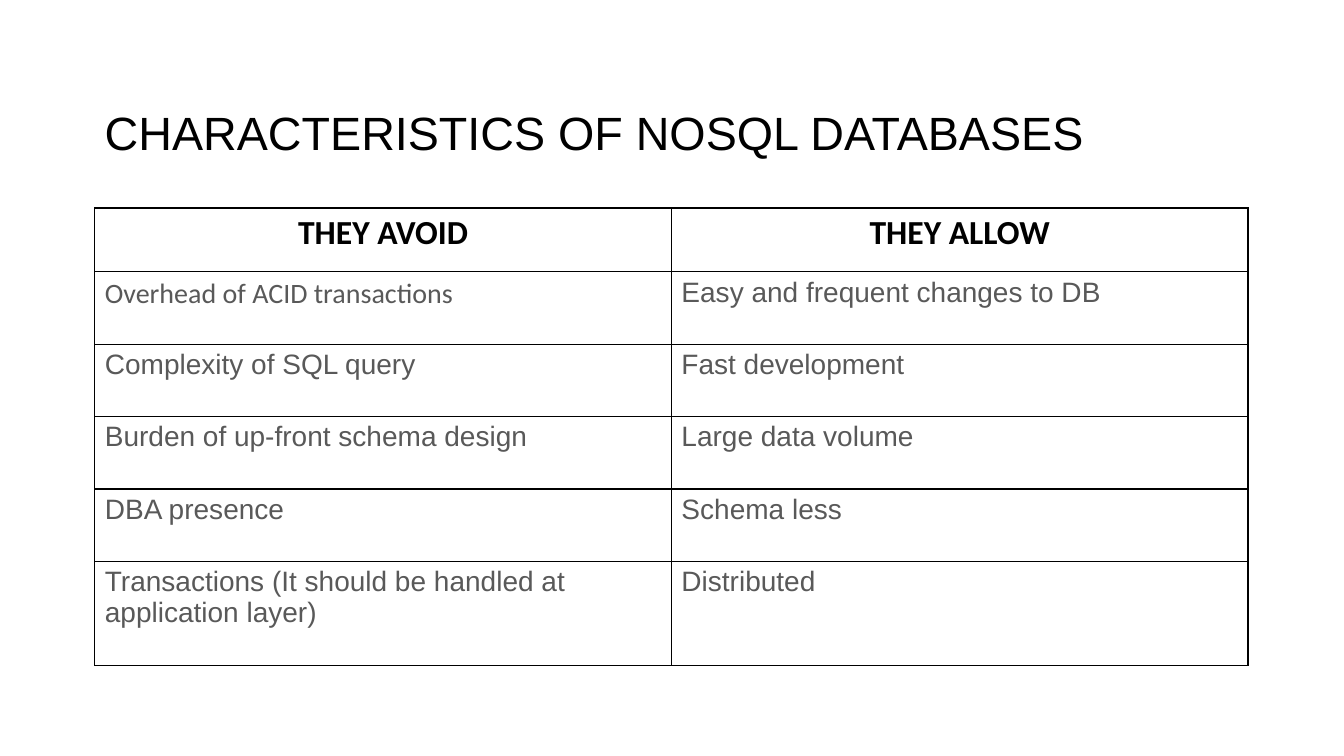
from lxml import etree
from pptx import Presentation
from pptx.dml.color import RGBColor
from pptx.enum.text import MSO_ANCHOR, PP_ALIGN
from pptx.oxml.ns import qn
from pptx.util import Pt

BLACK = RGBColor(0x00, 0x00, 0x00)
GREY = RGBColor(0x59, 0x59, 0x59)
WHITE = RGBColor(0xFF, 0xFF, 0xFF)
LEFT = PP_ALIGN.LEFT
CENTER = PP_ALIGN.CENTER
MIDDLE = MSO_ANCHOR.MIDDLE

SLIDE_WIDTH, SLIDE_HEIGHT = Pt(960), Pt(540)
MARGIN_LEFT = Pt(67.7)
COLUMN_WIDTH = Pt(411.9)
HEADER_HEIGHT, ROW_HEIGHT, LAST_ROW_HEIGHT = Pt(45.7), Pt(51.7), Pt(74.2)

HEADINGS = ("THEY AVOID", "THEY ALLOW")
CHARACTERISTICS = [
    ("Overhead of ACID transactions", "Easy and frequent changes to DB"),
    ("Complexity of SQL query", "Fast development"),
    ("Burden of up-front schema design", "Large data volume"),
    ("DBA presence", "Schema less"),
    ("Transactions (It should be handled at application layer)", "Distributed"),
]


def write_text(frame, text, size, color, font="Arial", bold=False,
               align=LEFT, line_spacing=1.0):
    frame.word_wrap = True
    paragraph = frame.paragraphs[0]
    paragraph.alignment = align
    paragraph.line_spacing = line_spacing
    run = paragraph.add_run()
    run.text = text
    run.font.name = font
    run.font.size = Pt(size)
    run.font.bold = bold
    run.font.color.rgb = color


def add_borders(cell):
    properties = cell._tc.get_or_add_tcPr()
    # Border lines come before the fill in the cell properties
    for position, side in enumerate(("a:lnL", "a:lnR", "a:lnT", "a:lnB")):
        line = etree.Element(qn(side), w=str(Pt(1)))
        fill = etree.SubElement(line, qn("a:solidFill"))
        etree.SubElement(fill, qn("a:srgbClr"), val=str(BLACK))
        properties.insert(position, line)


def fill_cell(cell, text, **text_format):
    cell.fill.solid()
    cell.fill.fore_color.rgb = WHITE
    add_borders(cell)
    write_text(cell.text_frame, text, **text_format)


def add_title(slide, text):
    title = slide.shapes.add_textbox(MARGIN_LEFT, Pt(73.4), Pt(792), Pt(46.1))
    title.text_frame.vertical_anchor = MIDDLE
    write_text(title.text_frame, text, size=33.3, color=BLACK, line_spacing=0.9)


def add_comparison(slide):
    heights = ([HEADER_HEIGHT] + [ROW_HEIGHT] * (len(CHARACTERISTICS) - 1)
               + [LAST_ROW_HEIGHT])
    comparison = slide.shapes.add_table(
        len(heights), len(HEADINGS), MARGIN_LEFT, Pt(148.5),
        COLUMN_WIDTH * len(HEADINGS), sum(heights)).table
    comparison.first_row = False
    comparison.horz_banding = False
    for column in comparison.columns:
        column.width = COLUMN_WIDTH
    for row, height in zip(comparison.rows, heights):
        row.height = height

    # Headings
    for column, heading in enumerate(HEADINGS):
        fill_cell(comparison.cell(0, column), heading, size=24, color=BLACK,
                  font="Calibri", bold=True, align=CENTER)

    # Characteristics; only the first entry is set in Calibri
    for row, entries in enumerate(CHARACTERISTICS, start=1):
        for column, entry in enumerate(entries):
            font = "Calibri" if (row, column) == (1, 0) else "Arial"
            fill_cell(comparison.cell(row, column), entry, size=20,
                      color=GREY, font=font)


def main():
    presentation = Presentation()
    presentation.slide_width = SLIDE_WIDTH
    presentation.slide_height = SLIDE_HEIGHT
    slide = presentation.slides.add_slide(presentation.slide_layouts[6])
    add_title(slide, "CHARACTERISTICS OF NOSQL DATABASES")
    add_comparison(slide)
    presentation.save("out.pptx")


if __name__ == "__main__":
    main()
